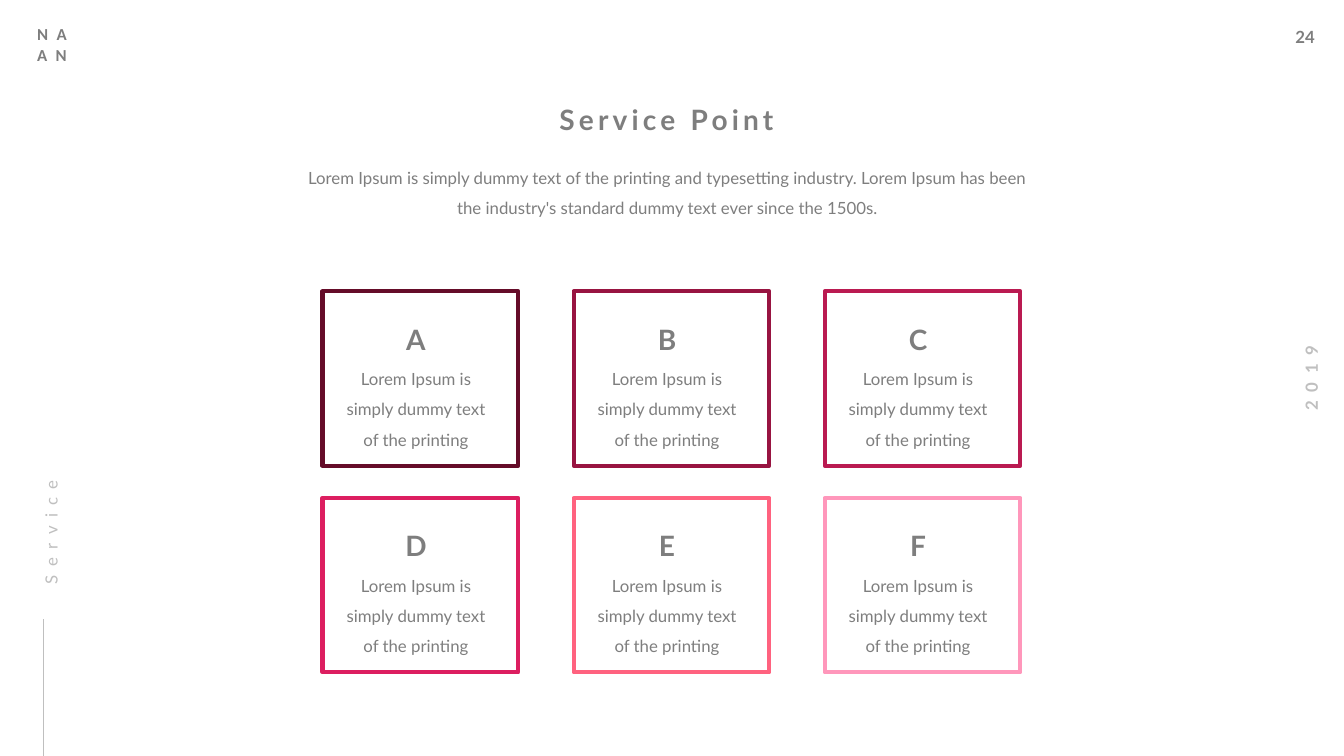
import pptx
import pptx.util
import pptx.dml.color
import pptx.enum.text
import pptx.enum.shapes
import pptx.oxml.ns
import lxml.etree

Inches, Pt = pptx.util.Inches, pptx.util.Pt
RGB = pptx.dml.color.RGBColor.from_string
ALIGN = pptx.enum.text.PP_ALIGN
GROW = pptx.enum.text.MSO_AUTO_SIZE.SHAPE_TO_FIT_TEXT

HUES = {
    "text": "7E7E7E", "pale": "BFBFBF",
    "A": "650C29", "B": "981441", "C": "BA1A51",
    "D": "DC1E60", "E": "FF627F", "F": "FF97BB",
}
LOREM = "Lorem Ipsum is simply dummy text of the printing"

deck = pptx.Presentation()
deck.slide_width, deck.slide_height = Inches(13.33), Inches(7.5)
slide = deck.slides.add_slide(deck.slide_layouts[6])


def add_text(text, place, font={}, para={}, frame={}, hue="text", gap=0, turn=0):
    """Add a text box; gap is the letter spacing in points."""
    box = slide.shapes.add_textbox(*map(Inches, place))
    box.rotation = turn
    body = box.text_frame
    body.text = text
    for key, val in {"word_wrap": True, "auto_size": GROW, **frame}.items():
        setattr(body, key, val)
    for line in body.paragraphs:
        for key, val in para.items():
            setattr(line, key, val)
        for run in line.runs:
            for key, val in {"name": "Lato", "size": Pt(12), **font}.items():
                setattr(run.font, key, val)
            run.font.color.rgb = RGB(HUES[hue])
            if gap:
                run.font._element.set("spc", str(gap * 100))


# Shared formats
bold = {"bold": True}
big = {"bold": True, "size": Pt(20)}
mid = {"alignment": ALIGN.CENTER}
loose = {"line_spacing": 1.5}
above = {"space_before": Pt(12)}
tight = {"margin_left": 0, "margin_top": 0, "margin_bottom": 0}
free = {"word_wrap": False}

# Page edges: number, year and monogram
add_text("24", (12.75, 0.22, 0.41, 0.3), bold, frame=free)
add_text("2019", (12.54, 3.6, 0.93, 0.3), bold, mid, free, "pale", 6, 270)
add_text("NA\nAN", (0.27, 0.19, 0.59, 0.5), {**bold, "name": "Calibri"}, gap=6)

# Heading and intro
add_text(LOREM + " and typesetting industry. Lorem Ipsum has been "
         "the industry's standard dummy text ever since the 1500s.",
         (3, 1.56, 7.34, 0.57), para={**mid, **loose, **above}, frame=tight)
add_text("Service Point", (4.91, 1.02, 3.5, 0.34), big, {**mid, **above}, tight, gap=3)

# Side label with its rule
rule = slide.shapes.add_connector(
    pptx.enum.shapes.MSO_CONNECTOR.STRAIGHT,
    Inches(0.43), Inches(7.5), Inches(0.43), Inches(6.14))
rule.line.color.rgb = RGB(HUES["pale"])
rule.line.width = Pt(0.5)
lxml.etree.SubElement(rule._element.spPr, pptx.oxml.ns.qn("a:effectLst"))
add_text("Service", (-0.49, 4.74, 1.85, 0.26), para={**loose, **above},
         frame=tight, hue="pale", gap=6, turn=270)

# Service cards, three to a row
for num, name in enumerate("ABCDEF"):
    row, col = divmod(num, 3)
    left, top = 3.2 + col * 2.49, 2.89 + row * 2.05
    card = slide.shapes.add_shape(
        pptx.enum.shapes.MSO_SHAPE.RECTANGLE,
        *map(Inches, (left, top, 1.94, 1.73)))
    card.shadow.inherit = False
    card.fill.background()
    card.line.color.rgb = RGB(HUES[name])
    card.line.width = Pt(3)
    add_text(LOREM, (left + 0.18, top + 0.67, 1.59, 0.87),
             para={**mid, **loose}, frame=tight)
    add_text(name, (left + 0.27, top + 0.14, 1.41, 0.44), big,
             {**mid, **loose}, tight, gap=3)

deck.save("out.pptx")
